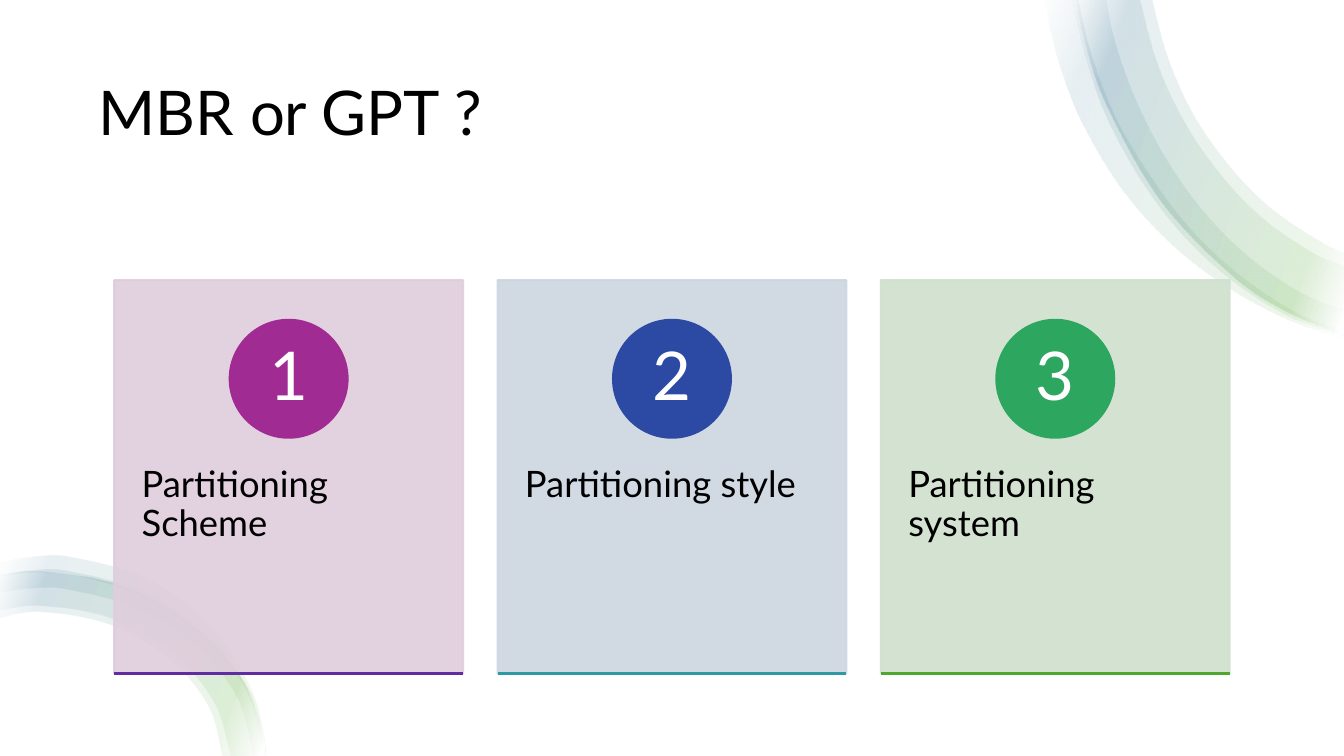
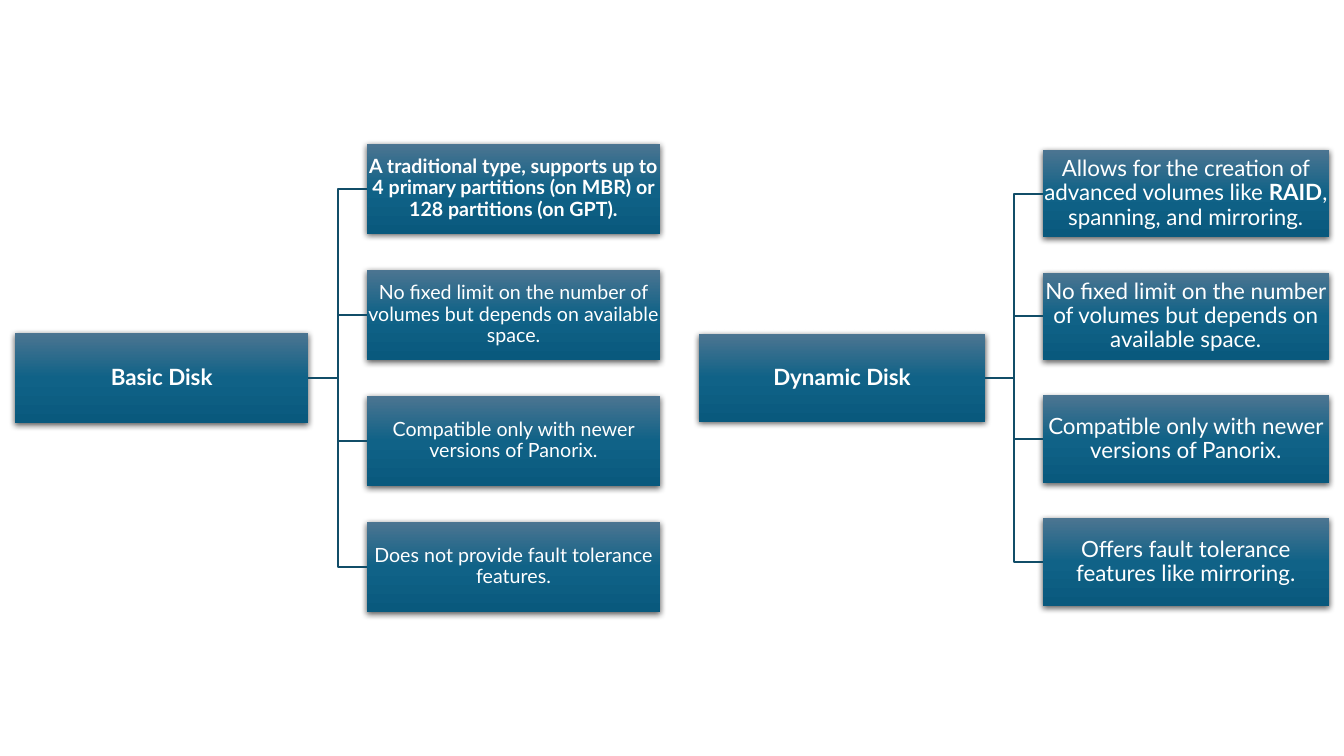
from dataclasses import dataclass
from typing import Any

from lxml import etree
from pptx import Presentation
from pptx.dml.color import RGBColor
from pptx.enum.shapes import MSO_CONNECTOR, MSO_SHAPE
from pptx.enum.text import MSO_ANCHOR, PP_ALIGN
from pptx.oxml.ns import qn
from pptx.util import Cm, Pt

RECTANGLE, OVAL = MSO_SHAPE.RECTANGLE, MSO_SHAPE.OVAL
STRAIGHT, ELBOW = MSO_CONNECTOR.STRAIGHT, MSO_CONNECTOR.ELBOW
TOP, MIDDLE = MSO_ANCHOR.TOP, MSO_ANCHOR.MIDDLE
LEFT, CENTER = PP_ALIGN.LEFT, PP_ALIGN.CENTER
LEFT_SIDE, RIGHT_SIDE = 1, 3

COLORS = {
    "black": "000000", "white": "FFFFFF", "link": "114D68",
    "band_green": "4EA72E", "band_blue": "156082",
    "node_top": "4C7591", "node_middle": "106287", "node_bottom": "09597D",
    "pink": "DFCDDC", "plum": "A02B93", "violet": "5F2CA1",
    "mist": "CDD6E0", "blue": "2C49A3", "teal": "2D9AA4",
    "sage": "D0E1CD", "emerald": "2DA65F", "green": "4EA72E",
}
FONT = "Lato"
LINE_WIDTH = Pt(1.5)
PAGE_WIDTH, PAGE_HEIGHT = 33.87, 19.05
BAND_STOPS = [(2, "white"), (16, "band_green"), (85, "band_blue"), (100, "white")]
NODE_STOPS = [(0, "node_top"), (50, "node_middle"), (100, "node_bottom")]
BAND_UNIT = 2.54  # centimetres per unit of the band outlines

Point = tuple[float, float]
Span = tuple[str, bool]


@dataclass
class Band:
    outer: list[Point]
    inner: list[Point]


@dataclass
class Card:
    number: str
    label: str
    panel: str
    badge: str
    rule: str


@dataclass
class Tree:
    left: float
    width: float
    height: float
    leaf_size: int
    root: str
    leaves: list[list[Span]]


CORNER_EDGE = [(13.33, 3.32), (12.78, 3.1), (12.23, 2.74), (11.52, 2),
               (10.99, 1.07), (10.76, 0.4), (10.67, -0.09)]
FOOT_EDGE = [(2.63, 7.5), (2.57, 7.16), (2.36, 6.69), (1.85, 6.16),
             (1.17, 5.8), (0.4, 5.67), (0, 5.72)]
BANDS = [
    # Top right corner
    Band([(13.33, 3.35), (12.82, 3.19), (12.21, 2.87), (11.65, 2.45),
          (11.16, 1.92), (10.78, 1.31), (10.56, 0.8), (10.41, 0.26), (10.36, -0.09)],
         [(10.68, -0.09), (10.82, 0.52), (11.06, 1.15), (11.4, 1.73),
          (11.81, 2.27), (12.3, 2.73), (12.86, 3.1), (13.33, 3.28)]),
    Band(CORNER_EDGE,
         [(11.41, -0.09), (11.58, 0.55), (11.83, 1.12), (12.19, 1.64),
          (12.6, 2.06), (13.07, 2.38), (13.33, 2.51)]),
    Band([(13.33, 3.33), (12.79, 3.14), (12.23, 2.79), (11.73, 2.33),
          (11.32, 1.79), (10.99, 1.19), (10.81, 0.7), (10.68, 0.2), (10.63, -0.09)],
         [(10.96, -0.09), (11.07, 0.44), (11.29, 1.04), (11.59, 1.61),
          (11.95, 2.11), (12.39, 2.55), (12.9, 2.9), (13.33, 3.08)]),
    Band(CORNER_EDGE,
         [(11.29, -0.09), (11.47, 0.59), (11.74, 1.19), (12.1, 1.72),
          (12.52, 2.16), (13.01, 2.5), (13.33, 2.64)]),
    # Bottom left corner
    Band(FOOT_EDGE,
         [(0, 6.13), (0.4, 6.07), (1.07, 6.19), (1.66, 6.52), (2.06, 7), (2.2, 7.5)]),
    Band(FOOT_EDGE,
         [(0, 6.06), (0.4, 6.01), (1.09, 6.13), (1.7, 6.47), (2.12, 6.97), (2.28, 7.5)]),
    Band([(2.63, 7.5), (2.59, 7.19), (2.47, 6.85), (2.03, 6.27),
          (1.42, 5.87), (0.69, 5.67), (0.31, 5.66), (0, 5.71)],
         [(0, 5.88), (0.33, 5.84), (0.67, 5.85), (1.34, 6.03),
          (1.92, 6.39), (2.34, 6.91), (2.51, 7.5)]),
    Band([(2.64, 7.5), (2.5, 6.87), (2.1, 6.23), (1.48, 5.75),
          (0.71, 5.53), (0.31, 5.53), (0, 5.59)],
         [(0, 5.72), (0.32, 5.68), (0.69, 5.7), (1.22, 5.84),
          (1.71, 6.09), (2.25, 6.58), (2.48, 6.95), (2.62, 7.5)]),
]

CARDS = [
    Card("1", "Partitioning Scheme", "pink", "plum", "violet"),
    Card("2", "Partitioning style", "mist", "blue", "teal"),
    Card("3", "Partitioning system", "sage", "emerald", "green"),
]

NO_LIMIT = [("No fixed limit on the number of volumes but depends on available space.", False)]
COMPATIBLE = [("Compatible only with newer versions of Panorix.", False)]
TREES = [
    Tree(0.38, 7.39, 2.27, 14, "Basic Disk", [
        [("A traditional type, supports up to 4 primary partitions (on MBR) "
          "or 128 partitions (on GPT).", True)],
        NO_LIMIT,
        COMPATIBLE,
        [("Does not provide fault tolerance features.", False)],
    ]),
    Tree(17.61, 7.22, 2.21, 16, "Dynamic Disk", [
        [("Allows for the creation of advanced volumes like ", False),
         ("RAID", True), (", spanning, and mirroring.", False)],
        NO_LIMIT,
        COMPATIBLE,
        [("Offers fault tolerance features like mirroring.", False)],
    ]),
]


def rgb(name: str) -> RGBColor:
    return RGBColor.from_string(COLORS[name])


def apply(target: Any, values: dict[str, Any]) -> None:
    for name, value in values.items():
        setattr(target, name, value)


def write(box: Any, spans: list[Span], size: int, color: str, align: Any,
          anchor: Any, margins: tuple[float, float, float, float]) -> None:
    """Fill a shape with one paragraph; margins are left, top, right, bottom."""
    frame = box.text_frame
    left, top, right, bottom = (Cm(margin) for margin in margins)
    apply(frame, {"word_wrap": True, "vertical_anchor": anchor, "margin_left": left,
                  "margin_top": top, "margin_right": right, "margin_bottom": bottom})
    para = frame.paragraphs[0]
    apply(para, {"alignment": align, "line_spacing": 0.9})
    for text, bold in spans:
        span = para.add_run()
        span.text = text
        apply(span.font, {"name": FONT, "size": Pt(size), "bold": bold})
        span.font.color.rgb = rgb(color)


def add_box(page: Any, kind: Any, left: float, top: float, width: float, height: float) -> Any:
    box = page.shapes.add_shape(kind, Cm(left), Cm(top), Cm(width), Cm(height))
    box.shadow.inherit = False
    return box


def paint(box: Any, color: str) -> None:
    box.fill.solid()
    box.fill.fore_color.rgb = rgb(color)
    box.line.color.rgb = rgb(color)
    box.line.width = LINE_WIDTH


def set_opacity(box: Any, percent: int) -> None:
    for color in box._element.spPr.iter(qn("a:srgbClr")):
        etree.SubElement(color, qn("a:alpha"), val=str(percent * 1000))


def paint_gradient(box: Any, stops: list[tuple[int, str]], angle: int) -> None:
    box.fill.gradient()
    box.line.fill.background()
    gradient = box._element.spPr.find(qn("a:gradFill"))
    stop_list = gradient.find(qn("a:gsLst"))
    for stop in list(stop_list):
        stop_list.remove(stop)
    for position, color in stops:
        stop = etree.SubElement(stop_list, qn("a:gs"), pos=str(position * 1000))
        etree.SubElement(stop, qn("a:srgbClr"), val=COLORS[color])
    gradient.find(qn("a:lin")).set("ang", str(angle * 60000))


def add_shadow(box: Any) -> None:
    effects = box._element.spPr.find(qn("a:effectLst"))
    shadow = etree.SubElement(effects, qn("a:outerShdw"), blurRad=str(Pt(4.5)),
                              dist=str(Pt(1.5)), dir="5400000", rotWithShape="0")
    color = etree.SubElement(shadow, qn("a:srgbClr"), val=COLORS["black"])
    etree.SubElement(color, qn("a:alpha"), val="63000")


def add_line(page: Any, kind: Any, color: str, start: Point, end: Point) -> Any:
    line = page.shapes.add_connector(kind, *(Cm(value) for value in (*start, *end)))
    line.line.color.rgb = rgb(color)
    line.line.width = LINE_WIDTH
    etree.SubElement(line._element.spPr, qn("a:effectLst"))
    return line


def round_edges(ribbon: Any, outer_count: int) -> None:
    """Turn the straight segments along both edges into smooth cubic curves."""
    nodes = list(ribbon._element.spPr.iter(qn("a:pt")))
    points = [(int(node.get("x")), int(node.get("y"))) for node in nodes]
    for first, last in ((0, outer_count - 1), (outer_count, len(points) - 1)):
        for index in range(first + 1, last + 1):
            before, start = points[max(first, index - 2)], points[index - 1]
            end, after = points[index], points[min(last, index + 1)]
            segment = nodes[index].getparent()
            segment.tag = qn("a:cubicBezTo")
            controls = [
                [start[k] + (end[k] - before[k]) / 6 for k in (0, 1)],
                [end[k] - (after[k] - start[k]) / 6 for k in (0, 1)],
            ]
            for place, (x, y) in enumerate(controls):
                control = etree.Element(qn("a:pt"), x=str(round(x)), y=str(round(y)))
                segment.insert(place, control)


def draw_band(page: Any, band: Band) -> None:
    outline = [(Cm(x * BAND_UNIT), Cm(y * BAND_UNIT)) for x, y in band.outer + band.inner]
    builder = page.shapes.build_freeform(*outline[0])
    builder.add_line_segments(outline[1:], close=False)
    ribbon = builder.convert_to_shape()
    round_edges(ribbon, len(band.outer))
    etree.SubElement(next(ribbon._element.spPr.iter(qn("a:path"))), qn("a:close"))
    ribbon.shadow.inherit = False
    paint_gradient(ribbon, BAND_STOPS, 200)
    set_opacity(ribbon, 10)


def draw_card(page: Any, card: Card, left: float) -> None:
    top, width, height, badge_size = 7.06, 8.79, 9.91, 2.97
    panel = add_box(page, RECTANGLE, left, top, width, height)
    paint(panel, card.panel)
    set_opacity(panel, 90)
    write(panel, [(card.label, False)], 26, "black", LEFT, TOP, (0.69, 4.69, 0.69, 0.91))
    badge = add_box(page, OVAL, left + (width - badge_size) / 2, top + 1,
                    badge_size, badge_size)
    paint(badge, card.badge)
    write(badge, [(card.number, False)], 48, "white", CENTER, MIDDLE, (0.23, 0.03, 0.23, 0.03))
    bottom = top + height
    add_line(page, STRAIGHT, card.rule, (left, bottom), (left + width, bottom))


def draw_node(page: Any, tree: Tree, left: float, middle: float,
              spans: list[Span], size: int) -> Any:
    node = add_box(page, RECTANGLE, left, middle - tree.height / 2, tree.width, tree.height)
    paint_gradient(node, NODE_STOPS, 90)
    add_shadow(node)
    write(node, spans, size, "white", CENTER, MIDDLE, (0.03, 0.03, 0.03, 0.03))
    return node


def draw_tree(page: Any, tree: Tree, middle: float) -> None:
    root = draw_node(page, tree, tree.left, middle, [(tree.root, True)], 16)
    root_right = tree.left + tree.width
    leaf_left = tree.left + 1.2 * tree.width
    for index, spans in enumerate(tree.leaves):
        leaf_middle = middle + (index - (len(tree.leaves) - 1) / 2) * 1.4 * tree.height
        leaf = draw_node(page, tree, leaf_left, leaf_middle, spans, tree.leaf_size)
        link = add_line(page, ELBOW, "link", (root_right, middle), (leaf_left, leaf_middle))
        link.begin_connect(root, RIGHT_SIDE)
        link.end_connect(leaf, LEFT_SIDE)


def main() -> None:
    deck = Presentation()
    deck.slide_width, deck.slide_height = Cm(PAGE_WIDTH), Cm(PAGE_HEIGHT)
    blank = deck.slide_layouts[6]

    # Question with three cards
    page = deck.slides.add_slide(blank)
    backdrop = add_box(page, RECTANGLE, 0, 0, PAGE_WIDTH, PAGE_HEIGHT)
    paint(backdrop, "white")
    backdrop.line.fill.background()
    title = page.shapes.add_textbox(Cm(2.24), Cm(1.27), Cm(29.39), Cm(3.3))
    write(title, [("MBR or GPT ?", False)], 44, "black", LEFT, MIDDLE, (0.25, 0.13, 0.25, 0.13))
    for band in BANDS:
        draw_band(page, band)
    for index, card in enumerate(CARDS):
        draw_card(page, card, 2.88 + index * 9.66)

    # Disk types
    page = deck.slides.add_slide(blank)
    for tree in TREES:
        draw_tree(page, tree, 9.52)

    deck.save("out.pptx")


if __name__ == "__main__":
    main()
